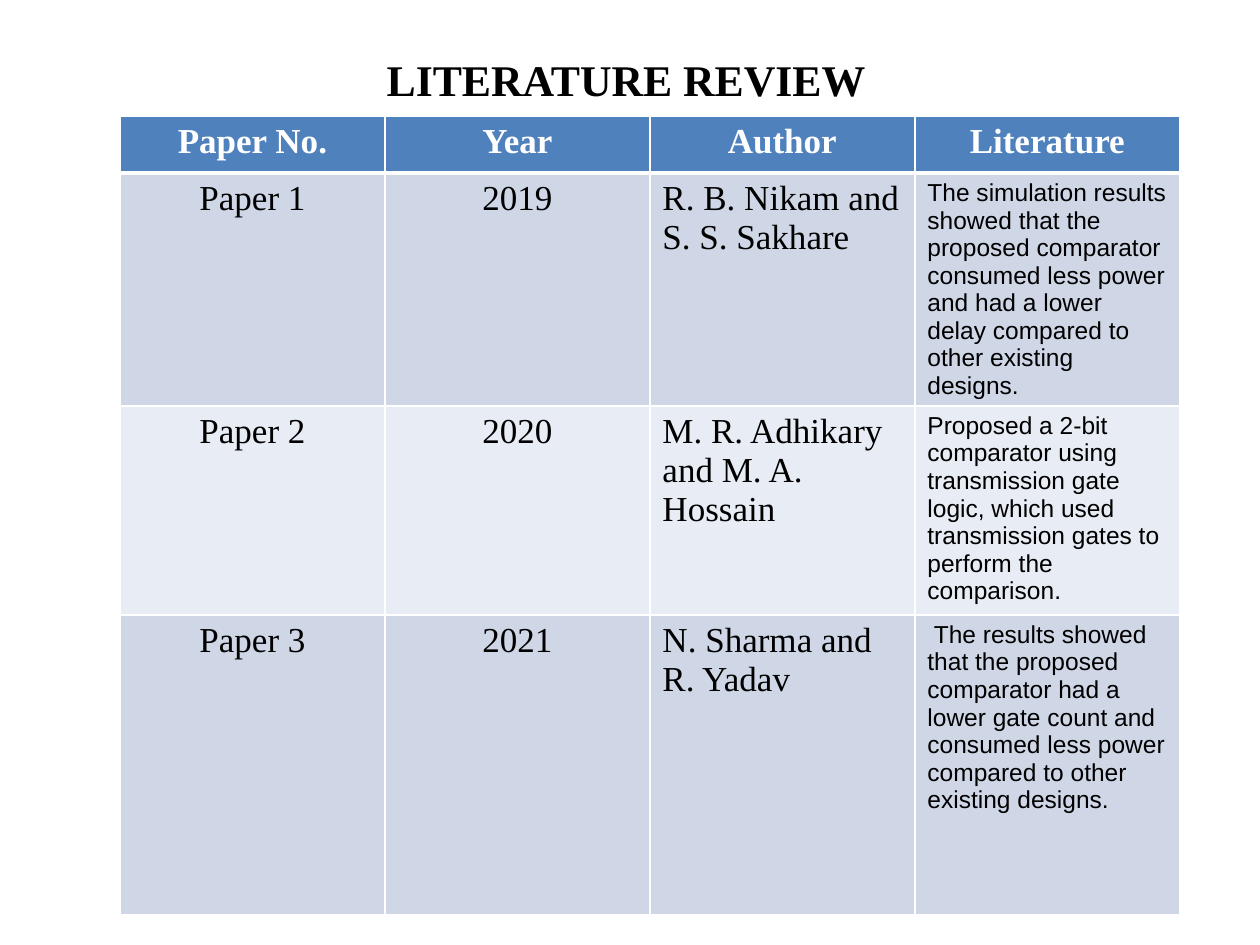
from lxml.etree import SubElement
from pptx import Presentation
from pptx.dml.color import RGBColor
from pptx.enum.text import MSO_ANCHOR, PP_ALIGN
from pptx.oxml.ns import qn
from pptx.util import Emu, Pt

PX = 914400 // 126
BLACK = RGBColor(0x00, 0x00, 0x00)
WHITE = RGBColor(0xFF, 0xFF, 0xFF)
HEADER_BLUE = RGBColor(0x4F, 0x81, 0xBD)
BANDS = [RGBColor(0xE8, 0xEC, 0xF4), RGBColor(0xCF, 0xD7, 0xE7)]
SERIF, SANS = "Times New Roman", "Arial"

HEADING = "LITERATURE REVIEW"
PAPERS = [
    ("Paper No.", "Year", "Author", "Literature"),
    ("Paper 1", "2019", "R. B. Nikam and S. S. Sakhare",
     "The simulation results showed that the proposed comparator consumed less "
     "power and had a lower delay compared to other existing designs."),
    ("Paper 2", "2020", "M. R. Adhikary and M. A. Hossain",
     "Proposed a 2-bit comparator using transmission gate logic, which used "
     "transmission gates to perform the comparison."),
    ("Paper 3", "2021", "N. Sharma and R. Yadav",
     " The results showed that the proposed comparator had a lower gate count and "
     "consumed less power compared to other existing designs."),
]
HEADING_BOX = (59, 0, 1134, 158)
ROW_HEIGHTS = [57, 209, 209, 300]
COLUMN_WIDTH = 265
TABLE_LEFT, TABLE_TOP = 120, 116


def px(value):
    return Emu(value * PX)


def style(paragraph, size, font, color, bold, align):
    paragraph.alignment = align
    for run in paragraph.runs:
        run.font.size = Pt(size)
        run.font.name = font
        run.font.bold = bold
        run.font.color.rgb = color


def add_borders(cell, widths):
    properties = cell._tc.get_or_add_tcPr()
    for side, width in widths.items():
        line = SubElement(properties, qn(f"a:ln{side}"), w=str(Pt(width)))
        SubElement(SubElement(line, qn("a:solidFill")), qn("a:srgbClr"), val=str(WHITE))


presentation = Presentation()
presentation.slide_width, presentation.slide_height = px(1260), px(945)
slide = presentation.slides.add_slide(presentation.slide_layouts[5])

heading = slide.shapes.title
heading.left, heading.top, heading.width, heading.height = map(px, HEADING_BOX)
heading.text_frame.text = HEADING
heading.text_frame.vertical_anchor = MSO_ANCHOR.MIDDLE
style(heading.text_frame.paragraphs[0], 25, SERIF, BLACK, True, PP_ALIGN.CENTER)

columns = len(PAPERS[0])
review = slide.shapes.add_table(
    len(PAPERS), columns, px(TABLE_LEFT), px(TABLE_TOP),
    px(COLUMN_WIDTH * columns), px(sum(ROW_HEIGHTS))).table
for column in review.columns:
    column.width = px(COLUMN_WIDTH)

for r, (paper, height) in enumerate(zip(PAPERS, ROW_HEIGHTS)):
    review.rows[r].height = px(height)
    header = r == 0
    for c, words in enumerate(paper):
        cell = review.cell(r, c)
        add_borders(cell, {"L": 1, "R": 1, "T": 3 if r == 1 else 1, "B": 3 if header else 1})
        cell.fill.solid()
        cell.fill.fore_color.rgb = HEADER_BLUE if header else BANDS[r % 2]
        cell.text_frame.text = words
        summary = c == columns - 1 and not header
        style(cell.text_frame.paragraphs[0],
              14 if summary else 20,
              SANS if summary else SERIF,
              WHITE if header else BLACK,
              header,
              PP_ALIGN.CENTER if header or c < 2 else PP_ALIGN.LEFT)

presentation.save("out.pptx")
